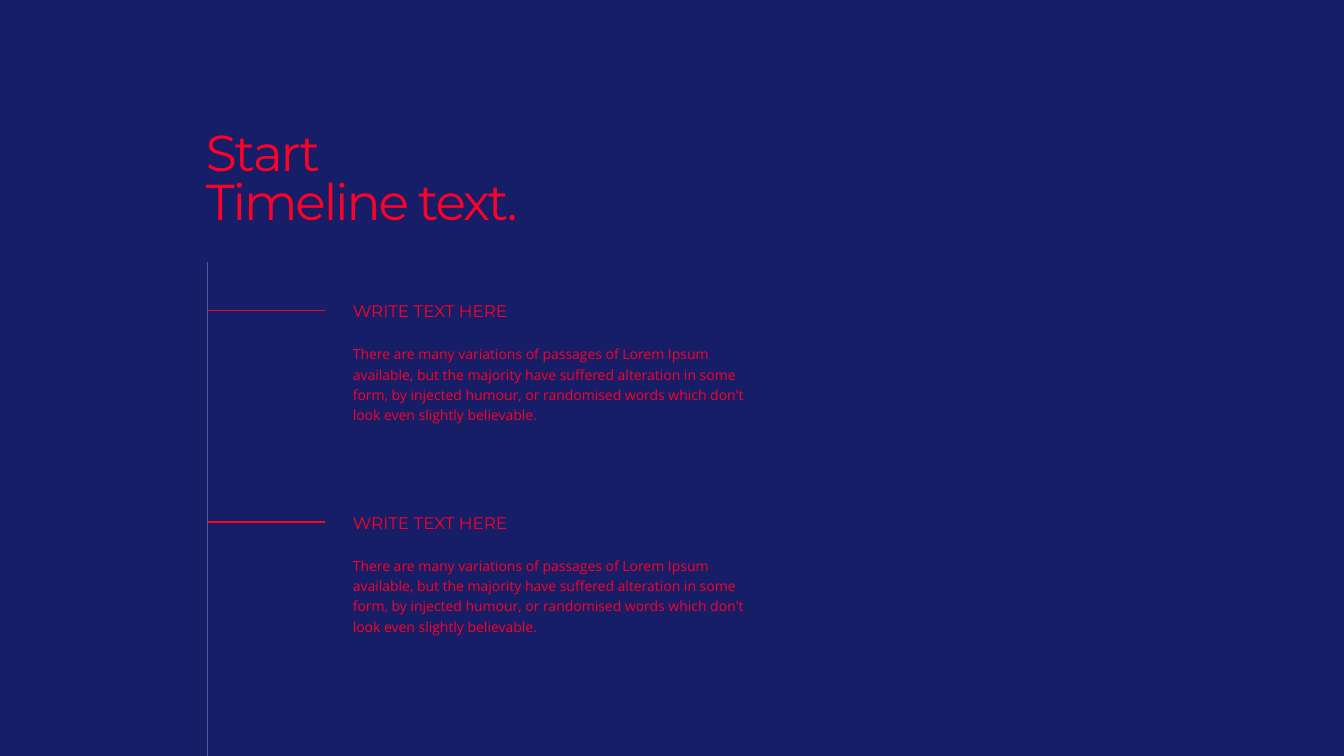
"""Build a dark timeline slide with a title and two entries."""
from lxml import etree
from pptx import Presentation
from pptx.dml.color import RGBColor
from pptx.enum import shapes, text
from pptx.oxml import ns
from pptx.util import Pt

TITLE = "Start\vTimeline text."
BODY = (
    "There are many variations of passages of Lorem Ipsum available, but the "
    "majority have suffered alteration in some form, by injected humour, or "
    "randomised words which don't look even slightly believable."
)
ENTRIES = [("WRITE TEXT HERE", BODY), ("WRITE TEXT HERE", BODY)]

COLORS = {"background": "151E67", "accent": "FF0028", "axis": "565C91"}
SLIDE_WIDTH, SLIDE_HEIGHT = 960, 540
AXIS_X, AXIS_TOP = 148.3, 187.2
TICK_END, FIRST_TICK_Y, ENTRY_PITCH = 231.8, 221.8, 151.2
ENTRY_LEFT, ENTRY_WIDTH = 252, 298.8
HEADING_OFFSET, BODY_OFFSET = -6.5, 19.4


def add_text(slide, box, words, font_name, size, line_spacing, top_inset=3.6, bottom_inset=3.6):
    """Add a wrapped text box and return its paragraph."""
    frame = slide.shapes.add_textbox(*map(Pt, box)).text_frame
    frame.word_wrap = True
    frame.auto_size = text.MSO_AUTO_SIZE.NONE
    frame.vertical_anchor = text.MSO_ANCHOR.TOP
    frame.margin_left = frame.margin_right = 0
    frame.margin_top, frame.margin_bottom = Pt(top_inset), Pt(bottom_inset)
    paragraph = frame.paragraphs[0]
    paragraph.text = words
    paragraph.line_spacing = line_spacing
    paragraph.font.name = font_name
    paragraph.font.size = Pt(size)
    paragraph.font.color.rgb = RGBColor.from_string(COLORS["accent"])
    return paragraph


def add_line(slide, start, end, color, width):
    """Add a straight line without a shadow."""
    line = slide.shapes.add_connector(
        shapes.MSO_CONNECTOR.STRAIGHT, *map(Pt, start + end))
    line.line.color.rgb = RGBColor.from_string(COLORS[color])
    line.line.width = Pt(width)
    etree.SubElement(line._element.spPr, ns.qn("a:effectLst"))


def main():
    """Lay out the slide and save it."""
    presentation = Presentation()
    presentation.slide_width = Pt(SLIDE_WIDTH)
    presentation.slide_height = Pt(SLIDE_HEIGHT)
    slide = presentation.slides.add_slide(presentation.slide_layouts[6])
    fill = slide.background.fill
    fill.solid()
    fill.fore_color.rgb = RGBColor.from_string(COLORS["background"])

    title = add_text(slide, (147, 80, 332.6, 127.4), TITLE, "Montserrat", 36, 0.8, 15.1, 0)
    for run in title.runs:
        run._r.get_or_add_rPr().set("spc", "-150")

    add_line(slide, (AXIS_X, AXIS_TOP), (AXIS_X, SLIDE_HEIGHT), "axis", 0.5)
    for index, (heading, body) in enumerate(ENTRIES):
        tick_y = FIRST_TICK_Y + index * ENTRY_PITCH
        add_line(slide, (AXIS_X, tick_y), (TICK_END, tick_y), "accent", 1)
        add_text(slide, (ENTRY_LEFT, tick_y + HEADING_OFFSET, ENTRY_WIDTH, 17.3),
                 heading, "Montserrat", 12, 0.7)
        add_text(slide, (ENTRY_LEFT, tick_y + BODY_OFFSET, ENTRY_WIDTH, 65.5),
                 body, "Open Sans", 10, 1.2)

    presentation.save("out.pptx")


if __name__ == "__main__":
    main()
